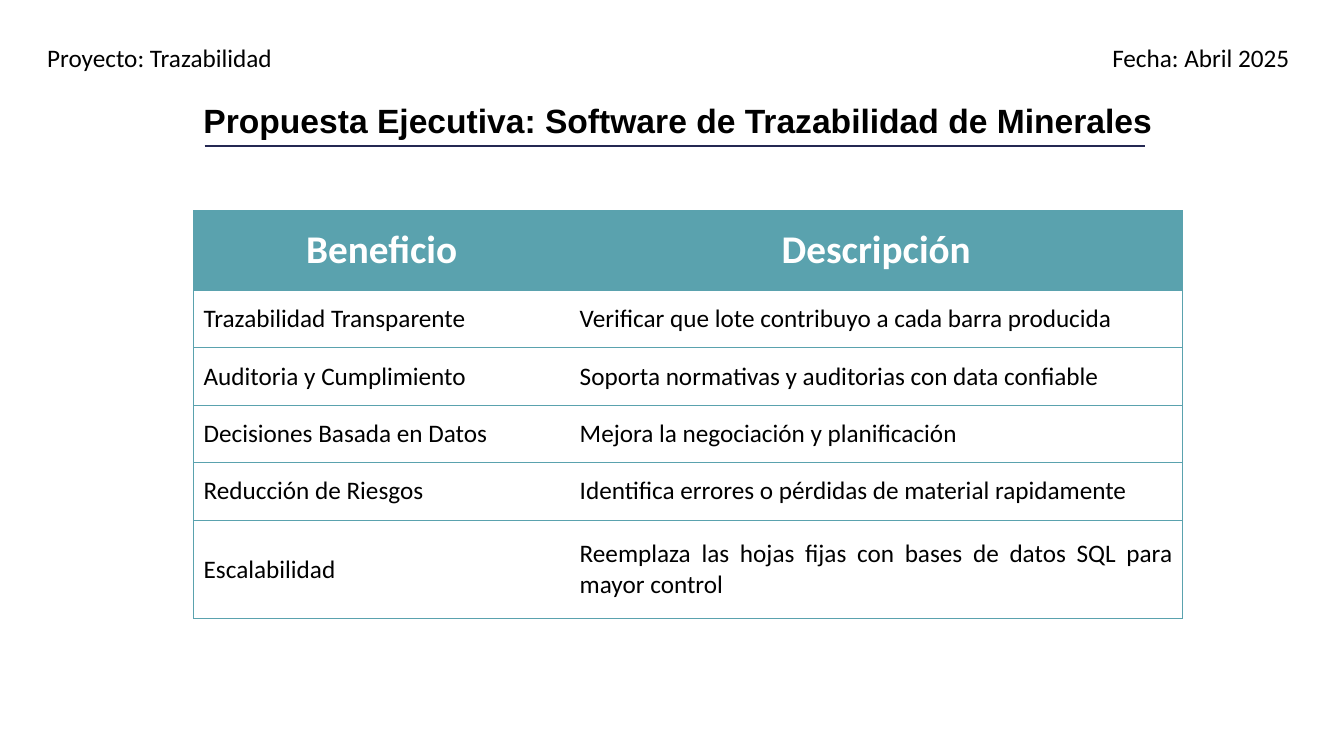
"""Build the executive proposal slide with its table of benefits."""
from lxml.etree import SubElement
from pptx import Presentation
from pptx.dml.color import RGBColor
from pptx.enum.shapes import MSO_CONNECTOR
from pptx.enum.text import MSO_ANCHOR, MSO_AUTO_SIZE, PP_ALIGN
from pptx.oxml.ns import qn
from pptx.util import Inches, Pt


def paint(color, code):
    color.rgb = RGBColor.from_string(code)


def write(para, text, size, face="Calibri", code="000000", bold=False):
    run = para.add_run()
    run.text = text
    run.font.size = Pt(size)
    run.font.name = face
    run.font.bold = bold
    paint(run.font.color, code)


TEAL, NAVY, WHITE = "5AA2AE", "242852", "FFFFFF"
ROWS = [
    ("Beneficio", "Descripción"),
    ("Trazabilidad Transparente", "Verificar que lote contribuyo a cada barra producida"),
    ("Auditoria y Cumplimiento", "Soporta normativas y auditorias con data confiable"),
    ("Decisiones Basada en Datos", "Mejora la negociación y planificación"),
    ("Reducción de Riesgos", "Identifica errores o pérdidas de material rapidamente"),
    ("Escalabilidad", "Reemplaza las hojas fijas con bases de datos SQL para mayor control"),
]
WIDE = [3.73, 6.08]
HIGH = [0.79] + [0.57] * 4 + [0.98]
LEFT = 1.92

deck = Presentation()
deck.slide_width, deck.slide_height = Inches(13.33), Inches(7.5)
slide = deck.slides.add_slide(deck.slide_layouts[6])
shapes = slide.shapes

frame = shapes.add_table(len(ROWS), len(WIDE), Inches(LEFT), Inches(2.09),
                         Inches(sum(WIDE)), Inches(sum(HIGH)))
table = frame.table
for col, width in zip(table.columns, WIDE):
    col.width = Inches(width)
for line, height in zip(table.rows, HIGH):
    line.height = Inches(height)

for r, row in enumerate(ROWS):
    head = r == 0
    for c, text in enumerate(row):
        cell = table.cell(r, c)
        cell.vertical_anchor = MSO_ANCHOR.MIDDLE
        para = cell.text_frame.paragraphs[0]
        para.alignment = PP_ALIGN.CENTER if head else PP_ALIGN.JUSTIFY
        write(para, text, 28 if head else 18, code=WHITE if head else "000000", bold=head)
        props = cell._tc.get_or_add_tcPr()
        drawn = {"lnL": c == 0, "lnR": c == 1, "lnT": True, "lnB": True}
        for side, shown in drawn.items():
            edge = SubElement(props, qn("a:" + side), w=str(Pt(0.5)))
            if shown:
                fill = SubElement(edge, qn("a:solidFill"))
                SubElement(fill, qn("a:srgbClr"), val=TEAL)
            else:
                SubElement(edge, qn("a:noFill"))
        cell.fill.solid()
        paint(cell.fill.fore_color, TEAL if head else WHITE)

top = shapes.add_textbox(Inches(0.37), Inches(0.37), Inches(12.71), Inches(0.4)).text_frame
top.word_wrap = True
top.auto_size = MSO_AUTO_SIZE.SHAPE_TO_FIT_TEXT
para = top.paragraphs[0]
tabs = SubElement(para._p.get_or_add_pPr(), qn("a:tabLst"))
SubElement(tabs, qn("a:tab"), pos=str(Inches(12.32)), algn="r")
write(para, "Proyecto: Trazabilidad", 18)
write(para, "\tFecha: Abril 2025", 18)

title = shapes.add_textbox(Inches(LEFT), Inches(0.94), Inches(9.7), Inches(0.5)).text_frame
title.word_wrap = False
title.auto_size = MSO_AUTO_SIZE.SHAPE_TO_FIT_TEXT
write(title.paragraphs[0], "Propuesta Ejecutiva: Software de Trazabilidad de Minerales",
      24, "Arial", bold=True)

rule = shapes.add_connector(MSO_CONNECTOR.STRAIGHT, Inches(2.03), Inches(1.45),
                            Inches(11.36), Inches(1.45))
rule.line.width = Pt(1.5)
paint(rule.line.color, NAVY)
SubElement(rule._element.spPr, qn("a:effectLst"))

deck.save("out.pptx")
